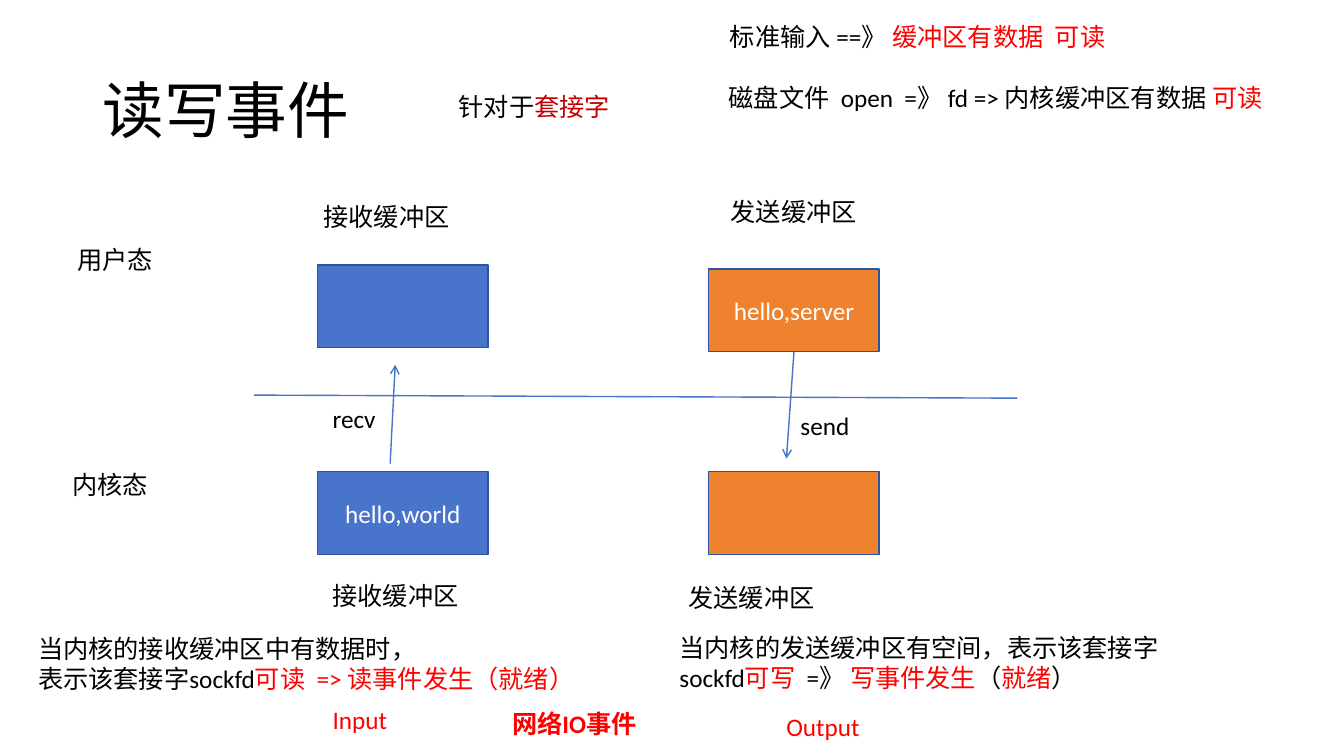
from pptx import Presentation
from pptx.dml.color import RGBColor
from pptx.enum.shapes import MSO_CONNECTOR, MSO_SHAPE
from pptx.enum.text import MSO_ANCHOR, PP_ALIGN
from pptx.oxml.ns import qn
from pptx.util import Inches, Pt
from lxml import etree

COLORS = {
    "black": "000000",
    "white": "FFFFFF",
    "red": "FF0000",
    "dark red": "C00000",
    "blue": "4874CB",
    "orange": "EE822F",
    "outline": "2E54A1",
}
FONT = "Calibri"

presentation = Presentation()
presentation.slide_width = Inches(13.33)
presentation.slide_height = Inches(7.5)
slide = presentation.slides.add_slide(presentation.slide_layouts[6])


def color(name):
    return RGBColor.from_string(COLORS[name])


def write_runs(paragraph, runs, size=18, bold=False):
    for text, color_name in runs:
        run = paragraph.add_run()
        run.text = text
        run.font.name = FONT
        run.font.size = Pt(size)
        run.font.bold = bold
        run.font.color.rgb = color(color_name)


title = slide.shapes.add_textbox(Inches(0.92), Inches(0.4), Inches(11.5), Inches(1.45))
title.text_frame.word_wrap = True
title.text_frame.vertical_anchor = MSO_ANCHOR.MIDDLE
title_paragraph = title.text_frame.paragraphs[0]
title_paragraph.line_spacing = 0.9
write_runs(title_paragraph, [("读写事件", "black")], size=44)

buffers = {}
for name, left, top, fill, text in [
    ("user receive", 3.15, 2.63, "blue", ""),
    ("user send", 7.03, 2.67, "orange", "hello,server"),
    ("kernel receive", 3.15, 4.68, "blue", "hello,world"),
    ("kernel send", 7.03, 4.68, "orange", ""),
]:
    shape = slide.shapes.add_shape(
        MSO_SHAPE.RECTANGLE, Inches(left), Inches(top), Inches(1.69), Inches(0.82))
    shape.shadow.inherit = False
    shape.fill.solid()
    shape.fill.fore_color.rgb = color(fill)
    shape.line.color.rgb = color("outline")
    shape.line.width = Pt(1)
    shape.text_frame.vertical_anchor = MSO_ANCHOR.MIDDLE
    if text:
        paragraph = shape.text_frame.paragraphs[0]
        paragraph.alignment = PP_ALIGN.CENTER
        write_runs(paragraph, [(text, "white")])
    buffers[name] = shape

for start_x, start_y, end_x, end_y, has_arrow, source in [
    (2.52, 3.92, 10.09, 3.95, False, None),
    (3.87, 4.6, 3.92, 3.62, True, None),
    (7.88, 3.49, 7.8, 4.55, True, "user send"),
]:
    connector = slide.shapes.add_connector(
        MSO_CONNECTOR.STRAIGHT,
        Inches(start_x), Inches(start_y), Inches(end_x), Inches(end_y))
    if source:
        connector.begin_connect(buffers[source], 2)
    connector.line.color.rgb = color("blue")
    connector.line.width = Pt(1)
    properties = connector._element.spPr
    if has_arrow:
        etree.SubElement(properties.find(qn("a:ln")), qn("a:tailEnd"), type="arrow")
    etree.SubElement(properties, qn("a:effectLst"))

labels = [
    (4.45, 0.86, 4.08, [[("针对于", "black"), ("套接字", "dark red")]]),
    (0.67, 2.37, 1.52, [[("用户态", "black")]]),
    (0.62, 4.61, 1.75, [[("内核态", "black")]]),
    (3.11, 1.95, 2.12, [[("接收缓冲区", "black")]]),
    (7.15, 1.9, 2.3, [[("发送缓冲区", "black")]]),
    (3.2, 5.71, 2.12, [[("接收缓冲区", "black")]]),
    (6.73, 5.73, 2.3, [[("发送缓冲区", "black")]]),
    (3.2, 3.95, 1.55, [[("recv", "black")]]),
    (7.84, 4.02, 1.65, [[("send", "black")]]),
    (0.28, 6.23, 5.82, [
        [("当内核的接收缓冲区中有数据时，", "black")],
        [("表示该套接字sockfd", "black"), ("可读  => 读事件发生（就绪）", "red")],
    ]),
    (6.64, 6.22, 5.28, [[
        ("当内核的发送缓冲区有空间，表示该套接字sockfd", "black"),
        ("可写", "red"),
        ("  =》 ", "black"),
        ("写事件发生", "red"),
        ("（", "black"),
        ("就绪", "red"),
        ("）", "black"),
    ]]),
    (3.2, 6.94, 0.87, [[("Input", "red")]]),
    (7.7, 7.01, 1.39, [[("Output", "red")]]),
    (4.98, 6.98, 1.62, [[("网络IO事件", "red")]]),
    (7.14, 0.16, 3.95, [[("标准输入 ==》 ", "black"), ("缓冲区有数据  可读", "red")]]),
    (7.13, 0.77, 5.74, [[
        ("磁盘文件  open  =》 fd => 内核缓冲区有数据 ", "black"),
        ("可读", "red"),
    ]]),
]
for left, top, width, paragraphs in labels:
    height = 0.71 if top in (6.22, 6.23) else 0.4
    label = slide.shapes.add_textbox(
        Inches(left), Inches(top), Inches(width), Inches(height))
    text_frame = label.text_frame
    text_frame.word_wrap = True
    for index, runs in enumerate(paragraphs):
        paragraph = text_frame.add_paragraph() if index else text_frame.paragraphs[0]
        write_runs(paragraph, runs, bold=runs[0][0] == "网络IO事件")

presentation.save("out.pptx")
